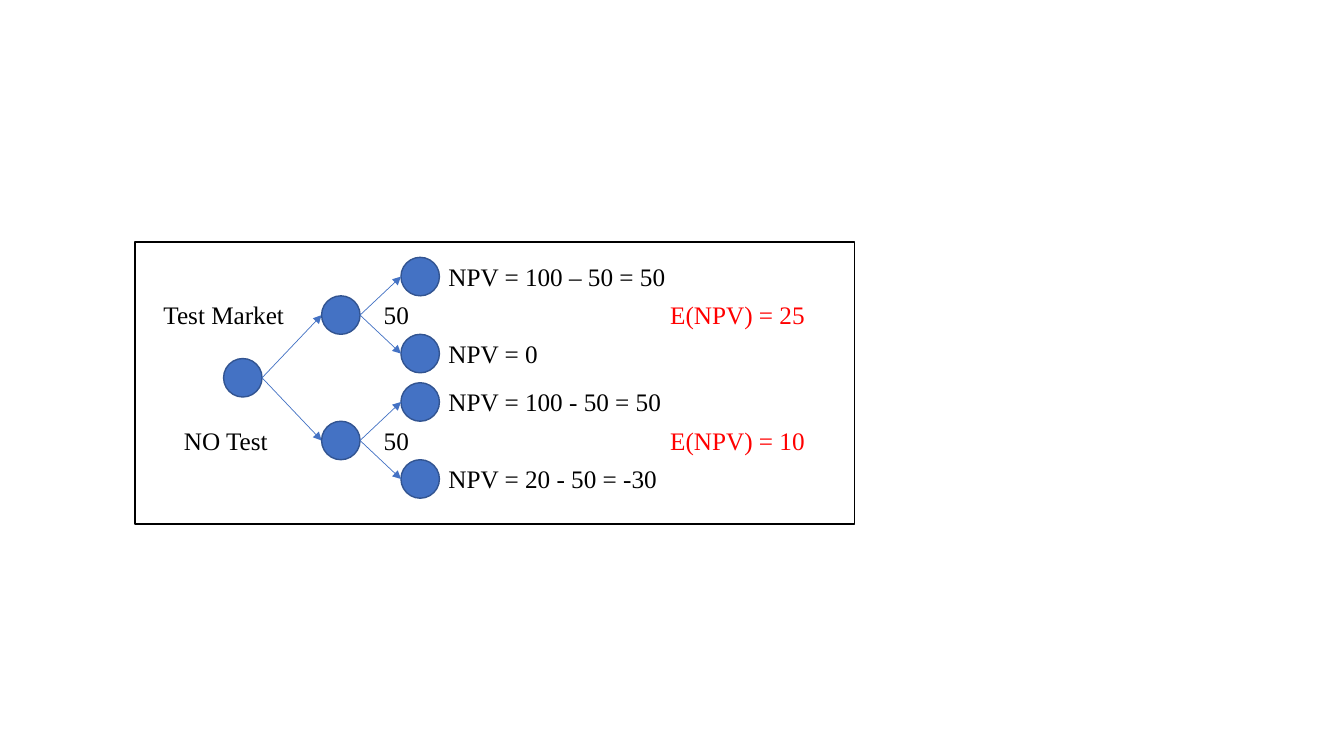
from dataclasses import dataclass

from lxml import etree
from pptx import Presentation
from pptx.dml.color import RGBColor
from pptx.enum.shapes import MSO_CONNECTOR, MSO_SHAPE
from pptx.enum.text import MSO_AUTO_SIZE, MSO_ANCHOR, PP_ALIGN
from pptx.oxml.ns import qn
from pptx.slide import Slide
from pptx.util import Cm, Pt

OVAL = MSO_SHAPE.OVAL
RECTANGLE = MSO_SHAPE.RECTANGLE
STRAIGHT = MSO_CONNECTOR.STRAIGHT
GROW = MSO_AUTO_SIZE.SHAPE_TO_FIT_TEXT
TOP = MSO_ANCHOR.TOP
LEFT = PP_ALIGN.LEFT
CENTER = PP_ALIGN.CENTER

BLUE = RGBColor(0x44, 0x72, 0xC4)
DARK_BLUE = RGBColor(0x32, 0x54, 0x91)
BLACK = RGBColor(0, 0, 0)
RED = RGBColor(0xFF, 0, 0)

FONT = "Times New Roman"
NODE_SIZE = 0.97
LABEL_HEIGHT = 1.02
ROOT_X, DECISION_X, OUTCOME_X = 6.12, 8.59, 10.59
ROOT_Y = 9.52
DECISION_OFFSET = 1.58
OUTCOME_OFFSET = 0.97
INVESTMENT_X, NPV_X, EXPECTED_X = 9.42, 11.05, 16.64


@dataclass(frozen=True)
class Node:
    x: float
    y: float


@dataclass(frozen=True)
class Label:
    text: str
    x: float
    width: float


@dataclass(frozen=True)
class Branch:
    direction: int
    name: Label
    expected: str
    outcomes: tuple[Label, Label]


BRANCHES = (
    Branch(-1, Label("Test Market", 3.86, 3.56), "E(NPV) = 25",
           (Label("NPV = 100 – 50 = 50", NPV_X, 6.02),
            Label("NPV = 0", NPV_X, 2.79))),
    Branch(1, Label("NO Test", 4.37, 2.64), "E(NPV) = 10",
           (Label("NPV = 100 - 50 = 50", NPV_X, 5.92),
            Label("NPV = 20 - 50 = -30", NPV_X, 5.82))),
)


def add_node(s: Slide, node: Node) -> None:
    sp = s.shapes.add_shape(OVAL, Cm(node.x - NODE_SIZE / 2),
                            Cm(node.y - NODE_SIZE / 2),
                            Cm(NODE_SIZE), Cm(NODE_SIZE))
    sp.shadow.inherit = False
    sp.fill.solid()
    sp.fill.fore_color.rgb = BLUE
    sp.line.color.rgb = DARK_BLUE
    sp.line.width = Pt(1)


def add_arrow(s: Slide, start: Node, end: Node) -> None:
    cx = s.shapes.add_connector(STRAIGHT,
                                Cm(start.x + NODE_SIZE / 2), Cm(start.y),
                                Cm(end.x - NODE_SIZE / 2), Cm(end.y))
    cx.line.color.rgb = BLUE
    cx.line.width = Pt(0.5)
    etree.SubElement(cx.line._get_or_add_ln(), qn("a:tailEnd"), type="triangle")
    etree.SubElement(cx._element.spPr, qn("a:effectLst"))


def add_label(s: Slide, label: Label, y: float, color: RGBColor = BLACK,
              align: PP_ALIGN = LEFT) -> None:
    sp = s.shapes.add_textbox(Cm(label.x), Cm(y - LABEL_HEIGHT / 2),
                              Cm(label.width), Cm(LABEL_HEIGHT))
    tf = sp.text_frame
    tf.text = label.text
    tf.word_wrap = False
    tf.auto_size = GROW
    tf.vertical_anchor = TOP
    p = tf.paragraphs[0]
    p.alignment = align
    r = p.runs[0]
    r.font.name = FONT
    r.font.size = Pt(18)
    r.font.color.rgb = color


def add_branch(s: Slide, root: Node, branch: Branch) -> None:
    decision = Node(DECISION_X, root.y + branch.direction * DECISION_OFFSET)
    add_arrow(s, root, decision)
    add_node(s, decision)
    add_label(s, branch.name, decision.y, align=CENTER)
    add_label(s, Label("50", INVESTMENT_X, 1.17), decision.y)
    add_label(s, Label(branch.expected, EXPECTED_X, 3.94), decision.y, RED)
    for side, label in zip((-1, 1), branch.outcomes):
        outcome = Node(OUTCOME_X, decision.y + side * OUTCOME_OFFSET)
        add_node(s, outcome)
        add_arrow(s, decision, outcome)
        add_label(s, label, outcome.y)


def add_frame(s: Slide) -> None:
    sp = s.shapes.add_shape(RECTANGLE, Cm(3.4), Cm(6.1), Cm(18.14), Cm(7.11))
    sp.shadow.inherit = False
    sp.fill.background()
    sp.line.color.rgb = BLACK
    sp.line.width = Pt(1)


def main() -> None:
    prs = Presentation()
    prs.slide_width = Cm(33.87)
    prs.slide_height = Cm(19.05)
    s = prs.slides.add_slide(prs.slide_layouts[6])
    root = Node(ROOT_X, ROOT_Y)
    add_node(s, root)
    for branch in BRANCHES:
        add_branch(s, root, branch)
    add_frame(s)
    prs.save("out.pptx")


if __name__ == "__main__":
    main()
